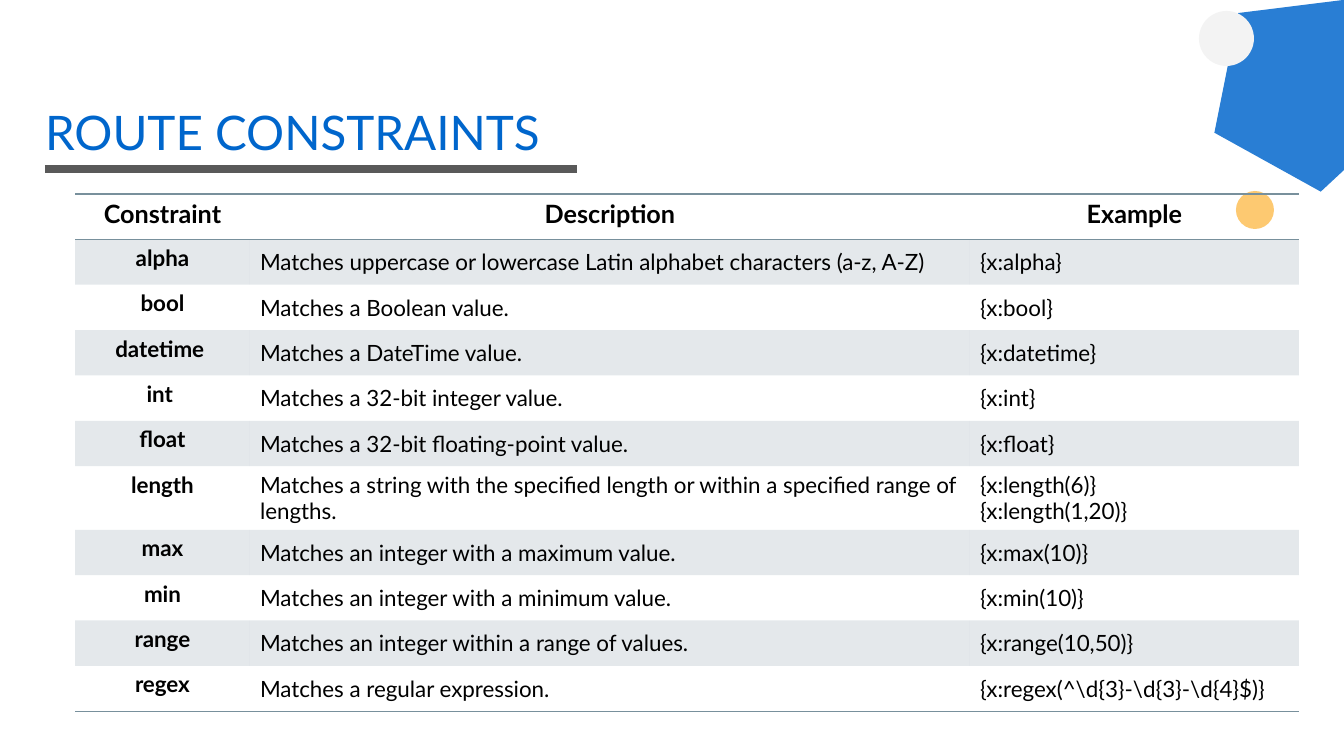
from dataclasses import dataclass

from pptx import Presentation
from pptx.dml.color import RGBColor
from pptx.enum.shapes import MSO_CONNECTOR, MSO_SHAPE
from pptx.enum.text import MSO_ANCHOR, MSO_AUTO_SIZE, PP_ALIGN
from pptx.oxml.ns import qn
from pptx.oxml.xmlchemy import OxmlElement
from pptx.util import Emu, Pt

TITLE = "ROUTE CONSTRAINTS"
HEADERS = ("Constraint", "Description", "Example")
CONSTRAINTS = [
    ("alpha", "Matches uppercase or lowercase Latin alphabet characters (a-z, A-Z)", "{x:alpha}"),
    ("bool", "Matches a Boolean value.", "{x:bool}"),
    ("datetime ", "Matches a DateTime value.", "{x:datetime}"),
    ("int ", "Matches a 32-bit integer value.", "{x:int}"),
    ("float", "Matches a 32-bit floating-point value.", "{x:float}"),
    ("length", "Matches a string with the specified length or within a specified range of lengths.",
     "{x:length(6)}\n{x:length(1,20)}"),
    ("max", "Matches an integer with a maximum value.", "{x:max(10)}"),
    ("min", "Matches an integer with a minimum value.", "{x:min(10)}"),
    ("range", "Matches an integer within a range of values.", "{x:range(10,50)}"),
    ("regex", "Matches a regular expression.", r"{x:regex(^\d{3}-\d{3}-\d{4}$)}"),
]


@dataclass(frozen=True)
class Theme:
    font: str = "Lato"
    blue: str = "0066CC"
    orange: str = "FCA106"
    pale: str = "F3F3F3"
    rule: str = "595959"
    slate: str = "78909C"
    text: str = "000000"
    title_size: int = 34
    header_size: int = 18
    body_size: int = 16
    rule_width: int = 6
    border_width: int = 1


THEME = Theme()
SLIDE_SIZE = (1344, 756)
TITLE_BOX = (45, 102, 1252, 80)
TITLE_RULE = (45, 169, 577, 169)
TABLE_BOX = (75, 194, 1224, 499)
COLUMN_WIDTHS = (175, 720, 329)
ORNAMENTS = [
    (MSO_SHAPE.REGULAR_PENTAGON, (1203, -12, 198, 187), 317.1, THEME.blue, 84),
    (MSO_SHAPE.OVAL, (1236, 191, 38, 38), 0, THEME.orange, 57),
    (MSO_SHAPE.OVAL, (1199, 11, 55, 55), 0, THEME.pale, 100),
]
EMU_PER_PX = 914400 / 100.8
PLAIN_TABLE_STYLE = "{2D5ABB26-0587-4C30-8999-92F81FD0307C}"


def px(length):
    return Emu(round(length * EMU_PER_PX))


def box(lengths):
    return [px(length) for length in lengths]


def paint(fill, properties, color, opacity=100):
    fill.solid()
    fill.fore_color.rgb = RGBColor.from_string(color)
    if opacity < 100:
        alpha = OxmlElement("a:alpha")
        alpha.set("val", str(opacity * 1000))
        properties.find(qn("a:solidFill"))[0].append(alpha)


def write(text_frame, text, size, color, bold=False, align=PP_ALIGN.LEFT):
    for index, line in enumerate(text.split("\n")):
        paragraph = text_frame.add_paragraph() if index else text_frame.paragraphs[0]
        paragraph.alignment = align
        paragraph.line_spacing = 1.0
        run = paragraph.add_run()
        run.text = line
        run.font.name = THEME.font
        run.font.size = Pt(size)
        run.font.bold = bold
        run.font.color.rgb = RGBColor.from_string(color)


def add_borders(cell, sides):
    properties = cell._tc.get_or_add_tcPr()
    for index, side in enumerate(sides):
        line = OxmlElement(f"a:ln{side}")
        line.set("w", str(Pt(THEME.border_width)))
        solid = OxmlElement("a:solidFill")
        color = OxmlElement("a:srgbClr")
        color.set("val", THEME.slate)
        solid.append(color)
        line.append(solid)
        properties.insert(index, line)


def add_ornaments(slide):
    rule = slide.shapes.add_connector(MSO_CONNECTOR.STRAIGHT, *box(TITLE_RULE))
    rule.line.color.rgb = RGBColor.from_string(THEME.rule)
    rule.line.width = Pt(THEME.rule_width)
    rule._element.spPr.append(OxmlElement("a:effectLst"))
    for kind, place, rotation, color, opacity in ORNAMENTS:
        shape = slide.shapes.add_shape(kind, *box(place))
        shape.rotation = rotation
        shape.shadow.inherit = False
        shape.line.fill.background()
        paint(shape.fill, shape._element.spPr, color, opacity)


def add_title(slide):
    title = slide.shapes.title
    title.left, title.top, title.width, title.height = box(TITLE_BOX)
    frame = title.text_frame
    frame.margin_left = frame.margin_right = frame.margin_bottom = 0
    frame.margin_top = px(1)
    frame.word_wrap = True
    frame.auto_size = MSO_AUTO_SIZE.NONE
    frame.vertical_anchor = MSO_ANCHOR.TOP
    write(frame, TITLE, THEME.title_size, THEME.blue)


def add_constraint_table(slide):
    rows = [HEADERS, *CONSTRAINTS]
    table = slide.shapes.add_table(len(rows), len(HEADERS), *box(TABLE_BOX)).table
    table.first_row = table.horz_banding = False
    table._tbl.tblPr.find(qn("a:tableStyleId")).text = PLAIN_TABLE_STYLE
    for column, width in zip(table.columns, COLUMN_WIDTHS):
        column.width = px(width)
    for row_index, row in enumerate(rows):
        is_header = row_index == 0
        size = THEME.header_size if is_header else THEME.body_size
        for column_index, text in enumerate(row):
            cell = table.cell(row_index, column_index)
            is_label = is_header or column_index == 0
            cell.vertical_anchor = MSO_ANCHOR.TOP if is_label else MSO_ANCHOR.MIDDLE
            align = PP_ALIGN.CENTER if is_label else PP_ALIGN.LEFT
            write(cell.text_frame, text, size, THEME.text, is_label, align)
            if row_index % 2:
                paint(cell.fill, cell._tc.tcPr, THEME.slate, 20)
            else:
                cell.fill.background()
            if is_header:
                add_borders(cell, "TB")
            elif row_index == len(rows) - 1:
                add_borders(cell, "B")


def main():
    presentation = Presentation()
    presentation.slide_width, presentation.slide_height = box(SLIDE_SIZE)
    slide = presentation.slides.add_slide(presentation.slide_layouts[5])
    add_ornaments(slide)
    add_title(slide)
    add_constraint_table(slide)
    presentation.save("out.pptx")


if __name__ == "__main__":
    main()
